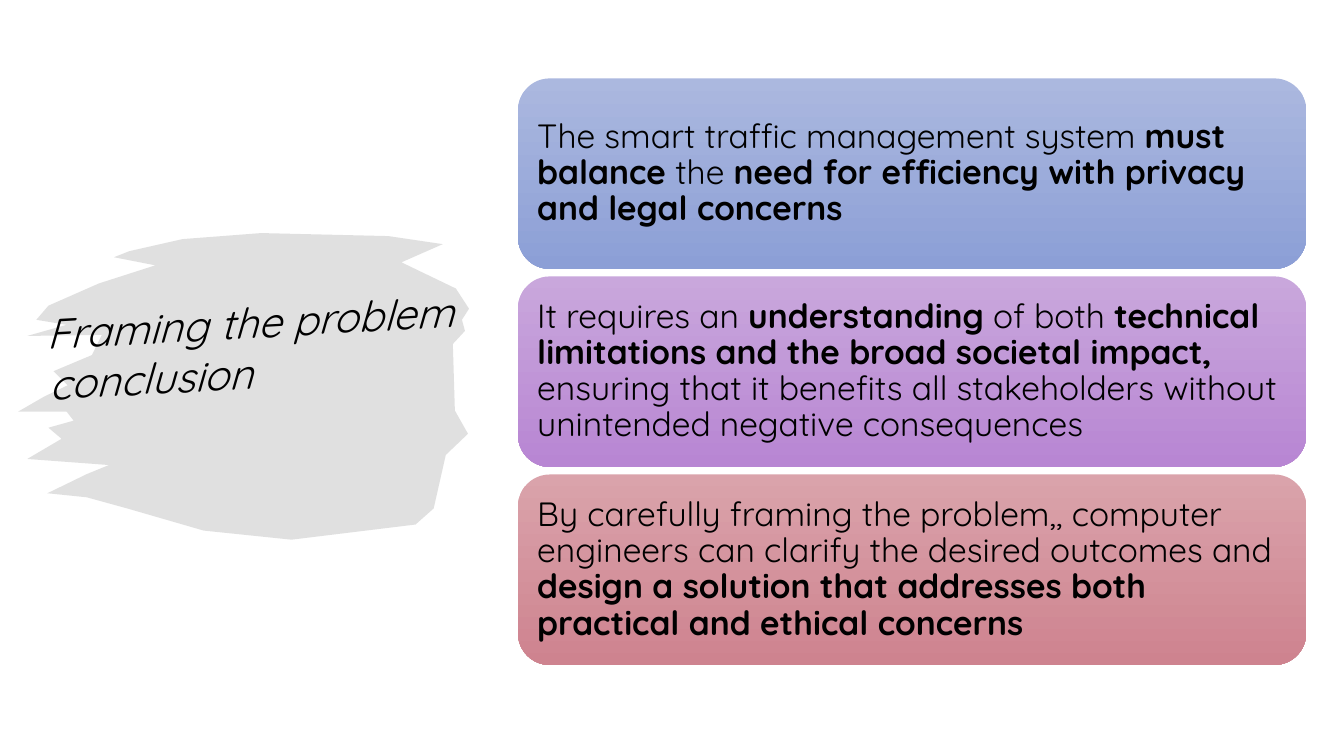
from dataclasses import dataclass

from lxml.etree import SubElement
from pptx import Presentation
from pptx.dml.color import RGBColor
from pptx.enum.shapes import MSO_SHAPE as Shape
from pptx.enum.text import MSO_ANCHOR as Anchor, PP_ALIGN as Align
from pptx.oxml.ns import qn
from pptx.util import Pt


@dataclass(frozen=True)
class Theme:
    font: str = "Quicksand"
    ink: str = "000000"
    brush: str = "D9D9D9"
    brush_alpha: int = 80
    title_size: int = 30
    card_size: int = 24
    card_gradients: tuple = (("ABB8DF", "8C9FD6"), ("C9A7DC", "B886D3"), ("DAA3AB", "CE838F"))


@dataclass(frozen=True)
class Box:
    left: float
    top: float
    width: float
    height: float

    def lengths(self):
        return Pt(self.left), Pt(self.top), Pt(self.width), Pt(self.height)


THEME = Theme()
SLIDE_WIDTH, SLIDE_HEIGHT = 960, 540
TITLE = "Framing the problem conclusion"

# Each statement is a list of (words, bold) pieces.
STATEMENTS = [
    [("The smart traffic management system ", False), ("must balance ", True), ("the ", False),
     ("need for efficiency with privacy and legal concerns", True)],
    [("It requires an ", False), ("understanding", True), (" of both ", False),
     ("technical limitations and the broad societal impact, ", True),
     ("ensuring that it benefits all stakeholders without unintended negative consequences", False)],
    [("By carefully framing the problem,, computer engineers can clarify the desired outcomes and ", False),
     ("design a solution that addresses both practical and ethical concerns", True)],
]

# Brush stroke outline on a grid of 447 by 304 units, clockwise from the top.
BRUSH_GRID = 447, 304
BRUSH_OUTLINE = [
    (241, 0), (367, 3), (421, 11), (380, 29), (434, 55), (447, 75), (440, 86), (443, 97),
    (431, 110), (432, 142), (433, 176), (446, 199), (424, 220), (412, 273), (394, 289),
    (271, 304), (184, 295), (108, 273), (68, 262), (29, 258), (68, 239), (90, 230), (9, 224),
    (43, 204), (30, 193), (55, 186), (48, 177), (0, 177), (26, 162), (49, 151), (35, 137),
    (73, 121), (83, 101), (9, 102), (48, 91), (18, 86), (30, 72), (80, 50), (136, 32),
    (95, 24), (110, 18), (163, 6),
]


def style_run(run, size, bold=False, italic=False):
    font = run.font
    font.name, font.size, font.bold, font.italic = THEME.font, Pt(size), bold, italic
    font.color.rgb = RGBColor.from_string(THEME.ink)


def add_brush_stroke(slide, box):
    columns, rows = BRUSH_GRID
    points = [(Pt(box.left + x * box.width / columns), Pt(box.top + y * box.height / rows))
              for x, y in BRUSH_OUTLINE]
    outline = slide.shapes.build_freeform(*points[0])
    outline.add_line_segments(points[1:], close=True)
    brush = outline.convert_to_shape()
    brush.shadow.inherit = False
    brush.line.fill.background()
    brush.fill.solid()
    brush.fill.fore_color.rgb = RGBColor.from_string(THEME.brush)
    color = brush.element.spPr.find(qn("a:solidFill")).find(qn("a:srgbClr"))
    SubElement(color, qn("a:alpha")).set("val", str(THEME.brush_alpha * 1000))


def add_title(slide, box):
    title = slide.shapes.add_textbox(*box.lengths())
    title.rotation = -3.2
    title.text_frame.word_wrap = True
    title.text_frame.text = TITLE
    style_run(title.text_frame.paragraphs[0].runs[0], THEME.title_size, italic=True)


def add_card(slide, box, statement, gradient):
    card = slide.shapes.add_shape(Shape.ROUNDED_RECTANGLE, *box.lengths())
    card.shadow.inherit = False
    card.line.fill.background()
    card.fill.gradient()
    card.fill.gradient_angle = 270
    for stop, color in zip(card.fill.gradient_stops, gradient):
        stop.color.rgb = RGBColor.from_string(color)

    frame = card.text_frame
    frame.word_wrap = True
    frame.vertical_anchor = Anchor.MIDDLE
    frame.margin_left = frame.margin_right = frame.margin_top = frame.margin_bottom = Pt(7.2)
    paragraph = frame.paragraphs[0]
    paragraph.alignment = Align.LEFT
    paragraph.line_spacing = 0.9
    for words, bold in statement:
        run = paragraph.add_run()
        run.text = words
        style_run(run, THEME.card_size, bold=bold)


def add_cards(slide, box, gap=5.4):
    """Stack one card per statement, sharing the height of the box equally."""
    height = (box.height - gap * (len(STATEMENTS) - 1)) / len(STATEMENTS)
    for row, (statement, gradient) in enumerate(zip(STATEMENTS, THEME.card_gradients)):
        card_box = Box(box.left, box.top + row * (height + gap), box.width, height)
        add_card(slide, card_box, statement, gradient)


def main():
    deck = Presentation()
    deck.slide_width, deck.slide_height = Pt(SLIDE_WIDTH), Pt(SLIDE_HEIGHT)
    slide = deck.slides.add_slide(deck.slide_layouts[6])
    add_brush_stroke(slide, Box(13, 166.5, 322, 219))
    add_cards(slide, Box(370, 56, 563, 419))
    add_title(slide, Box(26.6, 208, 312.5, 80))
    deck.save("out.pptx")


if __name__ == "__main__":
    main()
